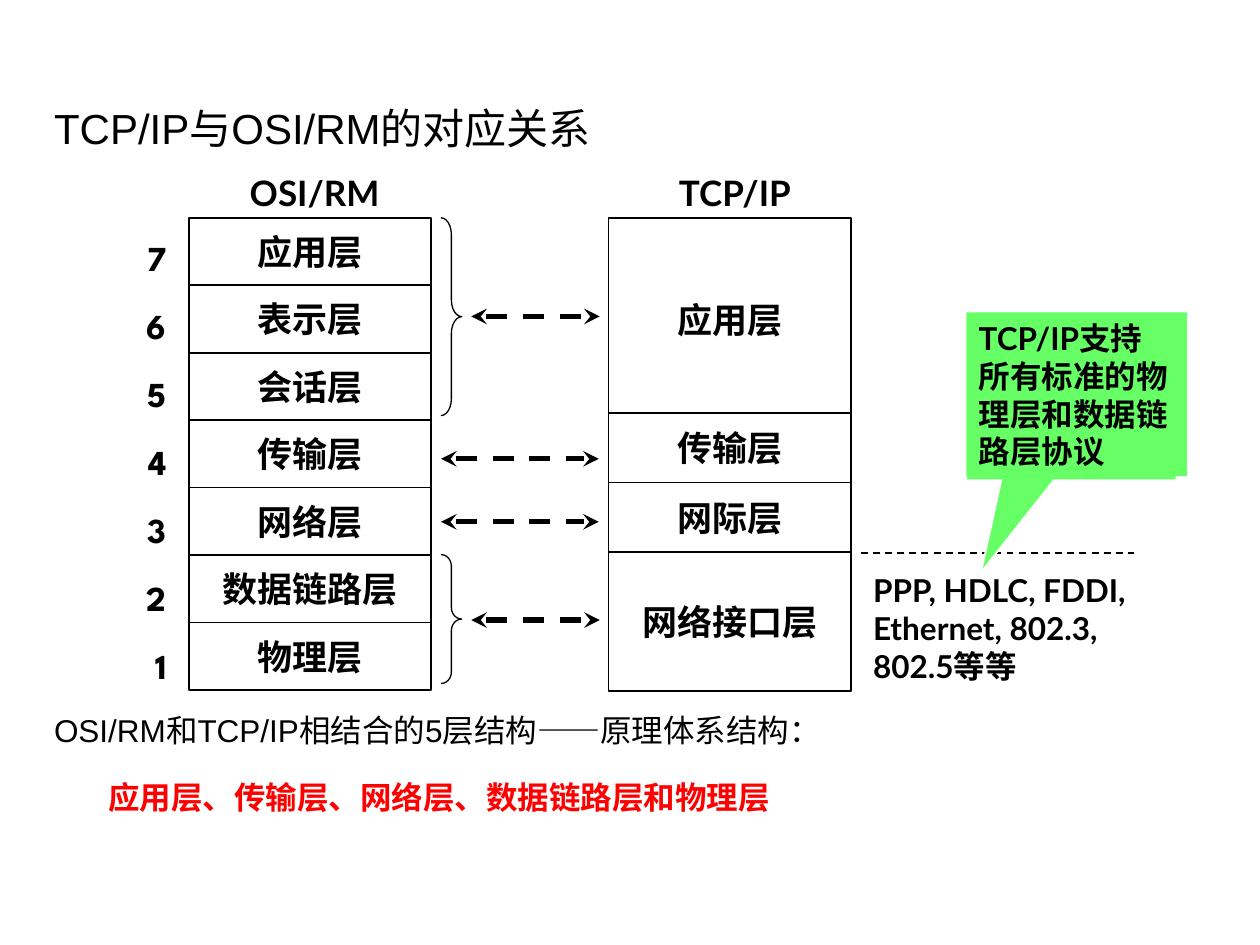
from dataclasses import dataclass

from lxml import etree
from pptx import Presentation
from pptx.dml.color import RGBColor
from pptx.enum.dml import MSO_LINE
from pptx.enum.shapes import MSO_CONNECTOR, MSO_SHAPE
from pptx.enum.text import MSO_ANCHOR, PP_ALIGN
from pptx.oxml.ns import qn
from pptx.util import Cm, Pt

BLACK = RGBColor(0x00, 0x00, 0x00)
WHITE = RGBColor(0xFF, 0xFF, 0xFF)
RED = RGBColor(0xFF, 0x00, 0x00)
GREEN = RGBColor(0x66, 0xFF, 0x66)

LEFT, CENTER, RIGHT = PP_ALIGN.LEFT, PP_ALIGN.CENTER, PP_ALIGN.RIGHT
TOP, MIDDLE = MSO_ANCHOR.TOP, MSO_ANCHOR.MIDDLE
RECTANGLE = MSO_SHAPE.RECTANGLE
CALLOUT = MSO_SHAPE.RECTANGULAR_CALLOUT
BRACE = MSO_SHAPE.RIGHT_BRACE
STRAIGHT = MSO_CONNECTOR.STRAIGHT
DASH = MSO_LINE.DASH

STACK_TOP = 4.39
STACK_WIDTH = 4.88
OSI_LEFT = 3.81
TCP_LEFT = 12.27
OSI_ROW = 1.36
TCP_ROW = 1.4
OSI_LAYERS = ["应用层", "表示层", "会话层", "传输层", "网络层", "数据链路层", "物理层"]


@dataclass
class Box:
    """A rectangle in centimetres."""
    left: float
    top: float
    width: float
    height: float

    def lengths(self):
        return Cm(self.left), Cm(self.top), Cm(self.width), Cm(self.height)


@dataclass
class Layer:
    name: str
    box: Box


@dataclass
class Brace:
    box: Box
    center: float


@dataclass
class Arrow:
    """A double-headed link between matching layers."""
    left: float
    right: float
    y: float


def write(frame, lines: list[str], *, size=20, font="Lato", bold=True, color=BLACK,
          align=LEFT, anchor=TOP, wrap=True, before=0, spacing=None) -> None:
    """Fill a text frame with one paragraph per line."""
    frame.word_wrap = wrap
    frame.vertical_anchor = anchor
    frame.margin_left = frame.margin_right = Cm(0.25)
    frame.margin_top = frame.margin_bottom = Cm(0.13)
    for index, line in enumerate(lines):
        paragraph = frame.paragraphs[0] if index == 0 else frame.add_paragraph()
        paragraph.alignment = align
        if index and before:
            paragraph.space_before = Pt(before)
        if spacing:
            paragraph.line_spacing = spacing
        run = paragraph.add_run()
        run.text = line
        run.font.size = Pt(size)
        run.font.name = font
        run.font.bold = bold
        run.font.color.rgb = color


def add_text(slide, box: Box, lines: list[str], **text_format) -> None:
    write(slide.shapes.add_textbox(*box.lengths()).text_frame, lines, **text_format)


def add_shape(slide, kind, box: Box, fill=None, line=None, width=1.0):
    shape = slide.shapes.add_shape(kind, *box.lengths())
    shape.shadow.inherit = False
    if fill is None:
        shape.fill.background()
    else:
        shape.fill.solid()
        shape.fill.fore_color.rgb = fill
    if line is None:
        shape.line.fill.background()
    else:
        shape.line.color.rgb = line
        shape.line.width = Pt(width)
    return shape


def add_layer(slide, layer: Layer) -> None:
    shape = add_shape(slide, RECTANGLE, layer.box, WHITE, BLACK)
    write(shape.text_frame, [layer.name], align=CENTER, anchor=MIDDLE, wrap=False)


def add_brace(slide, brace: Brace) -> None:
    shape = add_shape(slide, BRACE, brace.box, line=BLACK, width=0.75)
    shape.adjustments[0] = brace.center


def add_dashed_line(slide, left: float, right: float, y: float, width: float):
    line = slide.shapes.add_connector(STRAIGHT, Cm(left), Cm(y), Cm(right), Cm(y))
    line.line.color.rgb = BLACK
    line.line.width = Pt(width)
    line.line.dash_style = DASH
    etree.SubElement(line._element.spPr, qn("a:effectLst"))
    return line


def add_arrow(slide, arrow: Arrow) -> None:
    line = add_dashed_line(slide, arrow.left, arrow.right, arrow.y, 3)
    outline = line.line._get_or_add_ln()
    for end in ("a:headEnd", "a:tailEnd"):
        etree.SubElement(outline, qn(end), type="stealth")


def main() -> None:
    presentation = Presentation()
    presentation.slide_width = Cm(25.4)
    presentation.slide_height = Cm(19.05)
    slide = presentation.slides.add_slide(presentation.slide_layouts[5])

    title = slide.shapes.title
    title.left, title.top, title.width, title.height = Box(0.84, 1.93, 23.72, 1.27).lengths()
    write(title.text_frame, ["TCP/IP与OSI/RM的对应关系"],
          size=24, font="Arial", bold=False, anchor=MIDDLE)

    add_text(slide, Box(0.84, 14.2, 23.72, 1.02),
             ["OSI/RM和TCP/IP相结合的5层结构——原理体系结构："],
             size=18, font="Arial", bold=False)
    add_text(slide, Box(1.93, 15.4, 22.63, 1.14),
             ["应用层、传输层、网络层、数据链路层和物理层"],
             size=18, font="Arial", color=RED, spacing=1.2)

    layers = [Layer(name, Box(OSI_LEFT, STACK_TOP + row * OSI_ROW, STACK_WIDTH, OSI_ROW))
              for row, name in enumerate(OSI_LAYERS)]
    tcp_transport_top = 8.33
    tcp_rows = [("应用层", STACK_TOP, 4.11),
                ("传输层", tcp_transport_top, TCP_ROW),
                ("网际层", tcp_transport_top + TCP_ROW, TCP_ROW),
                ("网络接口层", tcp_transport_top + 2 * TCP_ROW, 2 * TCP_ROW)]
    layers += [Layer(name, Box(TCP_LEFT, top, STACK_WIDTH, height))
               for name, top, height in tcp_rows]
    for layer in layers:
        add_layer(slide, layer)

    for heading, left in (("OSI/RM", 3.38), ("TCP/IP", 11.85)):
        add_text(slide, Box(left, 3.33, 5.93, 1.12), [heading], align=CENTER)
    add_text(slide, Box(2.54, 4.55, 1.07, 9.42), [str(n) for n in range(7, 0, -1)],
             font="League Spartan", align=RIGHT, before=12.5, spacing=1.1)

    for brace in (Brace(Box(8.89, STACK_TOP, 0.42, 3.99), 0.81),
                  Brace(Box(8.89, 11.18, 0.42, 2.6), 0.55)):
        add_brace(slide, brace)
    for arrow in (Arrow(9.5, 12.09, 6.38), Arrow(8.89, 12.07, 9.25),
                  Arrow(8.89, 12.07, 10.52), Arrow(9.5, 12.09, 12.5)):
        add_arrow(slide, arrow)

    add_dashed_line(slide, 17.35, 22.86, 11.15, 1)
    add_text(slide, Box(17.35, 11.38, 6.73, 2.54),
             ["PPP, HDLC, FDDI, Ethernet, 802.3, 802.5等等"], size=18)

    pointer = add_shape(slide, CALLOUT, Box(19.48, 6.3, 4.24, 3.38), GREEN, WHITE)
    pointer.adjustments[0] = -0.43
    pointer.adjustments[1] = 1.05
    note = add_shape(slide, RECTANGLE, Box(19.48, 6.3, 4.45, 3.3), GREEN)
    write(note.text_frame, ["TCP/IP支持", "所有标准的物理层和数据链路层协议"], size=18)

    presentation.save("out.pptx")


if __name__ == "__main__":
    main()
